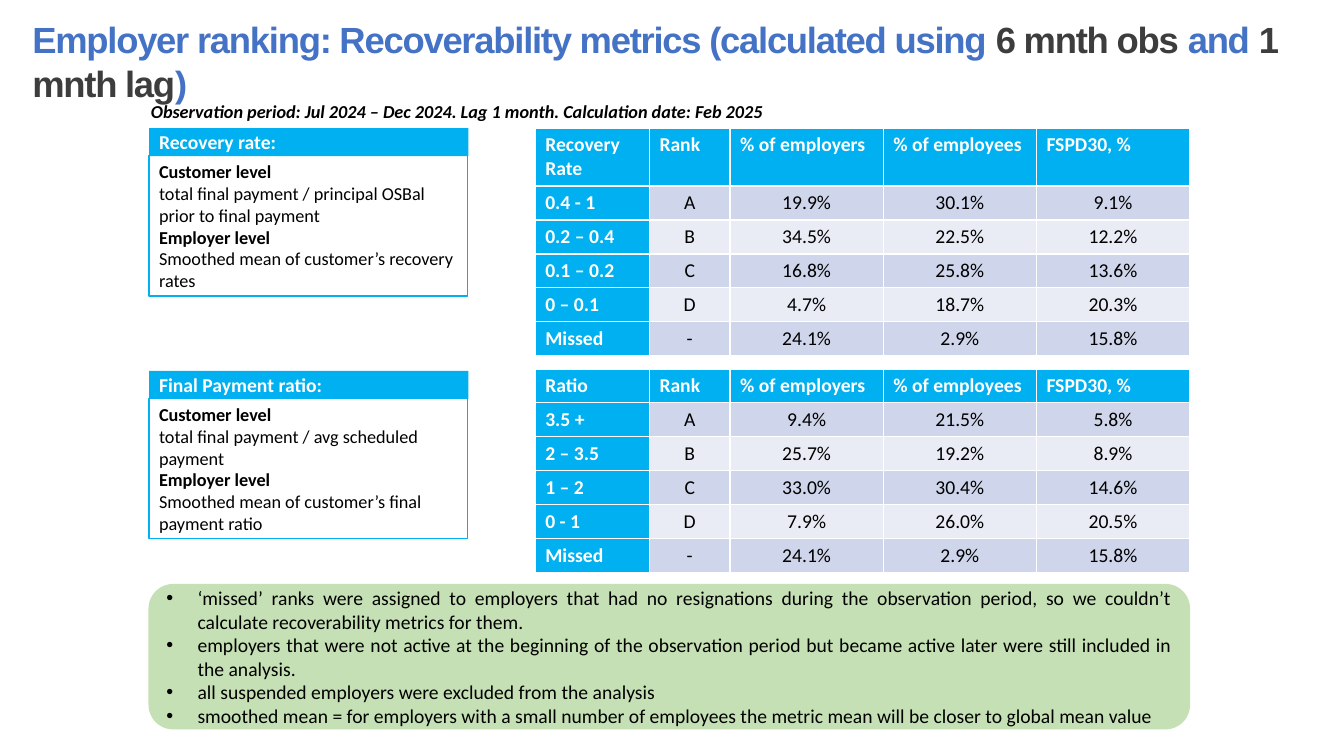
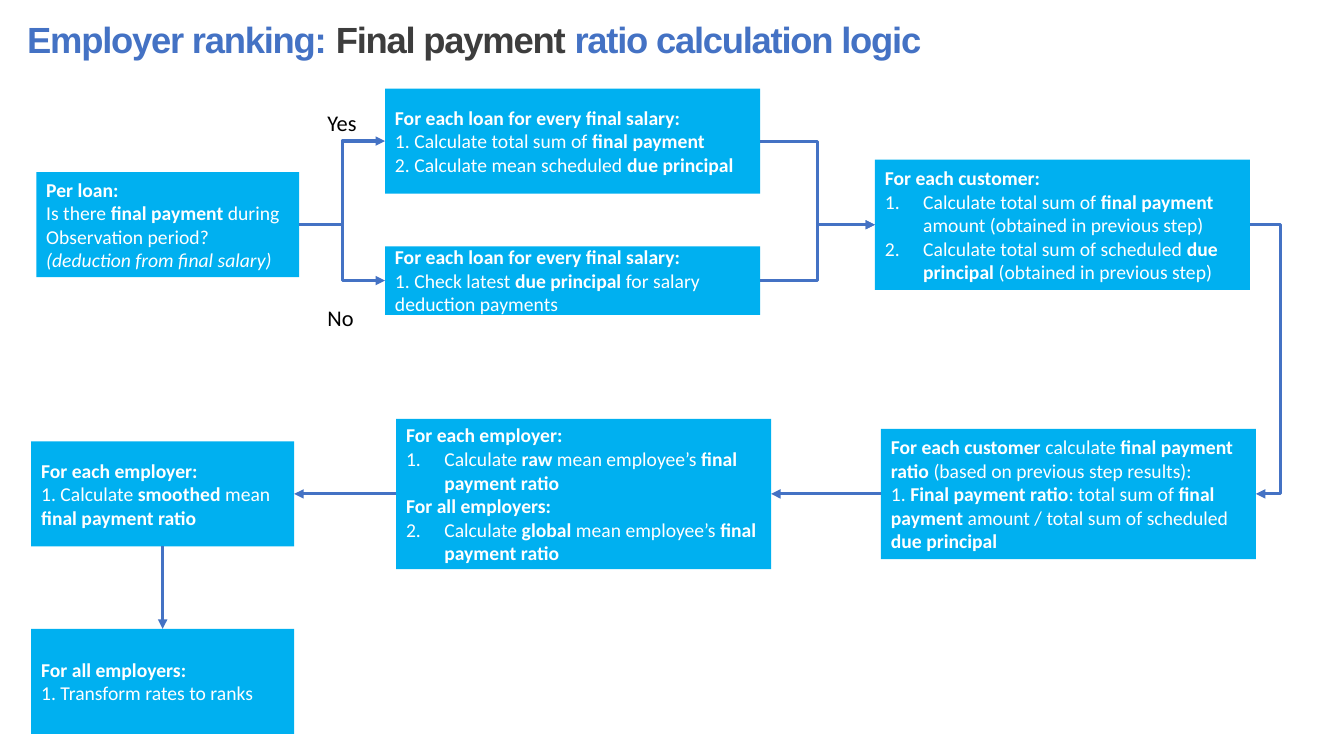
from dataclasses import dataclass
from typing import Optional

from lxml.etree import SubElement
from pptx import Presentation
from pptx.dml.color import RGBColor
from pptx.enum.shapes import MSO_CONNECTOR as Link, MSO_SHAPE as Preset
from pptx.enum.text import MSO_ANCHOR as Anchor, MSO_AUTO_SIZE as AutoSize, PP_ALIGN as Align
from pptx.oxml.ns import qn
from pptx.util import Inches, Pt

# The slide is a grid of 160 columns by 90 rows of square cells.
CELL = Inches(1) // 12
COLUMNS, ROWS = 160, 90

CYAN, BLUE, DARK = "00B0F0", "4472C4", "3D3D3D"
WHITE, BLACK, GREEN = "FFFFFF", "000000", "C5E0B4"
BANDS = ("CFD5EA", "E9EBF5")
BODY_FONT, TITLE_FONT = "Calibri", "Arial"
RIGHT_SITE, LEFT_SITE, BOTTOM_SITE, TOP_SITE = 3, 1, 2, 0


@dataclass(frozen=True)
class Area:
    """A rectangle in grid cells."""
    left: float
    top: float
    width: float
    height: float

    def emu(self) -> tuple:
        return tuple(cells(n) for n in (self.left, self.top, self.width, self.height))


@dataclass(frozen=True)
class Line:
    """A paragraph; text between ** marks is emphasised."""
    text: str
    italic: bool = False
    number: int = 0


@dataclass(frozen=True)
class Metric:
    name: str
    top: float
    customer_level: str
    employer_level: str
    table_top: float
    header_height: float
    header: str
    ranges: tuple
    shares: tuple


@dataclass(frozen=True)
class Step:
    left: float
    middle: float
    width: float
    height: float
    lines: tuple


@dataclass(frozen=True)
class Flow:
    start: str
    end: str
    start_site: int = RIGHT_SITE
    end_site: int = LEFT_SITE
    kind: Link = Link.ELBOW
    bend: Optional[float] = None


METRICS = (
    Metric("Recovery rate:", 15.24,
           "total final payment / principal OSBal prior to final payment",
           "Smoothed mean of customer’s recovery rates",
           15.24, 6.9, "Recovery Rate",
           ("0.4 - 1", "0.2 – 0.4", "0.1 – 0.2", "0 – 0.1", "Missed"),
           (("19.9%", "30.1%", "9.1%"), ("34.5%", "22.5%", "12.2%"),
            ("16.8%", "25.8%", "13.6%"), ("4.7%", "18.7%", "20.3%"),
            ("24.1%", "2.9%", "15.8%"))),
    Metric("Final Payment ratio:", 44.16,
           "total final payment / avg scheduled payment",
           "Smoothed mean of customer’s final payment ratio",
           43.92, 4, "Ratio",
           ("3.5 +", "2 – 3.5", "1 – 2", "0 - 1", "Missed"),
           (("9.4%", "21.5%", "5.8%"), ("25.7%", "19.2%", "8.9%"),
            ("33.0%", "30.4%", "14.6%"), ("7.9%", "26.0%", "20.5%"),
            ("24.1%", "2.9%", "15.8%"))),
)
RANKS = ("A", "B", "C", "D", "-")
SHARED_HEADERS = ("Rank", "% of employers", "% of employees", "FSPD30, %")
TABLE_COLUMNS = (13.6, 9.6, 18.24, 18.24, 18.24)

NOTES = (
    Line("‘missed’ ranks were assigned to employers that had no resignations during the "
         "observation period, so we couldn’t calculate recoverability metrics for them."),
    Line("employers that were not active at the beginning of the observation period but became "
         "active later were still included in the analysis."),
    Line("all suspended employers were excluded from the analysis"),
    Line("smoothed mean = for employers with a small number of employees the metric mean will be "
         "closer to global mean value"),
)

NARROW, WIDE = 31.3, 44.64
TOP_ROW, BOTTOM_ROW = 26.76, 58.8
STEPS = {
    "loan": Step(4.32, TOP_ROW, NARROW, 12.5, (
        Line("**Per loan:**"),
        Line("Is there **final payment **during Observation period?"),
        Line("(deduction from final salary)", italic=True))),
    "paid": Step(45.84, 16.8, WIDE, 12.5, (
        Line("**For each loan for every final salary:**"),
        Line("1. Calculate total sum of **final payment**"),
        Line("2. Calculate mean scheduled **due principal**"))),
    "unpaid": Step(45.84, 33.4, WIDE, 8.16, (
        Line("**For each loan for every final salary:**"),
        Line("1. Check latest **due principal **for salary deduction payments"))),
    "customer": Step(104.16, TOP_ROW, WIDE, 15.5, (
        Line("**For each customer:**"),
        Line("Calculate total sum of **final payment** amount (obtained in previous step)",
             number=1),
        Line("Calculate total sum of scheduled **due principal **(obtained in previous step)",
             number=1))),
    "ratio": Step(104.88, BOTTOM_ROW, WIDE, 15.5, (
        Line("**For each customer **calculate **final payment ratio **"
             "(based on previous step results):"),
        Line("1. **Final payment ratio**: total sum of **final payment** amount / "
             "total sum of scheduled **due principal**"))),
    "mean": Step(47.16, BOTTOM_ROW, WIDE, 17.9, (
        Line("**For each employer:**"),
        Line("Calculate **raw** mean employee’s **final payment ratio**", number=1),
        Line("**For all employers:**"),
        Line("Calculate **global** mean employee’s **final payment ratio**", number=2))),
    "smoothed": Step(3.72, BOTTOM_ROW, NARROW, 12.5, (
        Line("**For each employer:**"),
        Line("1. Calculate **smoothed** mean **final payment ratio**"))),
    "ranks": Step(3.72, 81.12, NARROW, 12.5, (
        Line("**For all employers:**"),
        Line("1. Transform rates to ranks"))),
}
FLOWS = (
    Flow("loan", "paid"),
    Flow("loan", "unpaid"),
    Flow("paid", "customer"),
    Flow("unpaid", "customer"),
    Flow("customer", "ratio", end_site=RIGHT_SITE, bend=152.5),
    Flow("ratio", "mean", LEFT_SITE, RIGHT_SITE, Link.STRAIGHT),
    Flow("mean", "smoothed", LEFT_SITE, RIGHT_SITE, Link.STRAIGHT),
    Flow("smoothed", "ranks", BOTTOM_SITE, TOP_SITE, Link.STRAIGHT),
)
ANSWERS = (("Yes", 12.36), ("No", 35.64))


def cells(count: float) -> int:
    return round(count * CELL)


def paint(target, color: str) -> None:
    """Give a fill one solid colour."""
    target.solid()
    target.fore_color.rgb = RGBColor.from_string(color)


def indent(paragraph, inches: float) -> None:
    """Hang the first line by the given indent."""
    properties = paragraph._p.get_or_add_pPr()
    properties.set("marL", str(Inches(inches)))
    properties.set("indent", str(-Inches(inches)))


def number(paragraph, start: int) -> None:
    indent(paragraph, 0.38)
    mark = SubElement(paragraph._p.get_or_add_pPr(), qn("a:buAutoNum"), type="arabicPeriod")
    if start > 1:
        mark.set("startAt", str(start))


def style(run, size: float, color: str, bold: bool, italic: bool = False,
          font: str = BODY_FONT) -> None:
    run.font.name, run.font.size = font, Pt(size)
    run.font.bold, run.font.italic = bold, italic
    run.font.color.rgb = RGBColor.from_string(color)


def write(frame, lines: tuple, size: float, color: str, align: Align = Align.LEFT,
          hanging: float = 0) -> None:
    """Fill a text frame, with the emphasised parts of each line in bold."""
    frame.word_wrap = True
    for index, line in enumerate(lines):
        paragraph = frame.add_paragraph() if index else frame.paragraphs[0]
        paragraph.alignment = align
        paragraph.space_before = Pt(0)
        if line.number:
            number(paragraph, line.number)
        elif hanging:
            indent(paragraph, hanging)
        for part, text in enumerate(line.text.split("**")):
            if text:
                run = paragraph.add_run()
                run.text = text
                style(run, size, color, bold=part % 2 == 1, italic=line.italic)


def place(placeholder, area: Area) -> None:
    placeholder.left, placeholder.top, placeholder.width, placeholder.height = area.emu()
    placeholder.text_frame.auto_size = AutoSize.NONE
    placeholder.text_frame.word_wrap = True


def add_title(slide, text: str, left: float) -> None:
    """Write the blue title, with the parts between ** marks in dark grey."""
    title = slide.shapes.title
    place(title, Area(left, 1.44, 154.2, 6.48))
    title.text_frame.vertical_anchor = Anchor.TOP
    paragraph = title.text_frame.paragraphs[0]
    paragraph.alignment = Align.LEFT
    for part, words in enumerate(text.split("**")):
        if words:
            run = paragraph.add_run()
            run.text = words
            style(run, 26, DARK if part % 2 else BLUE, bold=True, font=TITLE_FONT)
            run._r.get_or_add_rPr().set("spc", "-90")


def add_block(slide, area: Area, fill: Optional[str] = None, line: Optional[str] = None,
              preset: Preset = Preset.RECTANGLE):
    block = slide.shapes.add_shape(preset, *area.emu())
    block.shadow.inherit = False
    if fill:
        paint(block.fill, fill)
    else:
        block.fill.background()
    if line:
        paint(block.line.fill, line)
        block.line.width = Pt(1)
    else:
        block.line.fill.background()
    return block


def add_label(slide, area: Area, line: Line, size: float) -> None:
    label = slide.shapes.add_textbox(*area.emu())
    write(label.text_frame, (line,), size, BLACK)


def add_metric(slide, metric: Metric) -> None:
    """Draw the definition card and the rank table of one metric."""
    heading = add_block(slide, Area(17.76, metric.top, 38, 3.34), CYAN)
    write(heading.text_frame, (Line(f"**{metric.name}**"),), 14, WHITE)
    definition = add_block(slide, Area(17.76, metric.top + 3.3, 37.92, 16.68), line=CYAN)
    write(definition.text_frame, (
        Line("**Customer level**"), Line(metric.customer_level),
        Line("**Employer level**"), Line(metric.employer_level)), 13, BLACK)

    rows = [(metric.header, *SHARED_HEADERS)]
    rows += [(span, rank, *share)
             for span, rank, share in zip(metric.ranges, RANKS, metric.shares)]
    heights = [metric.header_height] + [4] * len(RANKS)
    area = Area(63.72, metric.table_top, sum(TABLE_COLUMNS), sum(heights))
    table = slide.shapes.add_table(len(rows), len(TABLE_COLUMNS), *area.emu()).table
    for column, width in zip(table.columns, TABLE_COLUMNS):
        column.width = cells(width)
    for r, (values, height) in enumerate(zip(rows, heights)):
        table.rows[r].height = cells(height)
        for c, value in enumerate(values):
            cell = table.cell(r, c)
            if r == 0 or c == 0:
                paint(cell.fill, CYAN)
                write(cell.text_frame, (Line(f"**{value}**"),), 14, WHITE)
            else:
                paint(cell.fill, BANDS[(r - 1) % 2])
                write(cell.text_frame, (Line(value),), 14, BLACK, Align.CENTER)


def add_notes_panel(slide, body) -> None:
    area = Area(17.76, 69.6, 123.84, 17.16)
    add_block(slide, area, GREEN, GREEN, Preset.ROUNDED_RECTANGLE)
    place(body, area)
    slide.shapes._spTree.append(body._element)  # bring the list in front of its panel
    frame = body.text_frame
    frame.vertical_anchor = Anchor.MIDDLE
    frame.margin_left = frame.margin_right = Inches(0.17)
    frame.margin_top = frame.margin_bottom = 0
    write(frame, NOTES, 14, BLACK, Align.JUSTIFY, hanging=0.31)


def add_flow(slide, flow: Flow, blocks: dict) -> None:
    arrow = slide.shapes.add_connector(flow.kind, 0, 0, 0, 0)
    arrow.begin_connect(blocks[flow.start], flow.start_site)
    arrow.end_connect(blocks[flow.end], flow.end_site)
    paint(arrow.line.fill, BLUE)
    arrow.line.width = Pt(2.25)
    properties = arrow._element.spPr
    SubElement(properties.find(qn("a:ln")), qn("a:tailEnd"), type="triangle")
    SubElement(properties, qn("a:effectLst"))
    if flow.bend:
        share = (cells(flow.bend) - arrow.begin_x) / (arrow.end_x - arrow.begin_x)
        guides = properties.find(qn("a:prstGeom")).find(qn("a:avLst"))
        SubElement(guides, qn("a:gd"), name="adj1", fmla=f"val {round(share * 100000)}")


def build_metrics_slide(deck) -> None:
    slide = deck.slides.add_slide(deck.slide_layouts[1])
    add_title(slide, "Employer ranking: Recoverability metrics (calculated using "
                     "**6 mnth obs** and **1 mnth lag**)", 2.64)
    for metric in METRICS:
        add_metric(slide, metric)
    add_notes_panel(slide, slide.placeholders[1])
    add_label(slide, Area(16.8, 11.4, 82.3, 3.84), Line(
        "**Observation period: Jul 2024 – Dec 2024. Lag 1 month. Calculation date: Feb 2025**",
        italic=True), 13)


def build_logic_slide(deck) -> None:
    slide = deck.slides.add_slide(deck.slide_layouts[5])
    add_title(slide, "Employer ranking: **Final payment** ratio calculation logic", 2.04)
    blocks = {}
    for key, step in STEPS.items():
        area = Area(step.left, step.middle - step.height / 2, step.width, step.height)
        blocks[key] = add_block(slide, area, CYAN)
        write(blocks[key].text_frame, step.lines, 14, WHITE)
    for flow in FLOWS:
        add_flow(slide, flow, blocks)
    for answer, top in ANSWERS:
        add_label(slide, Area(37.8, top, 5.88, 4.44), Line(answer), 16)


def main() -> None:
    deck = Presentation()
    deck.slide_width, deck.slide_height = COLUMNS * CELL, ROWS * CELL
    build_metrics_slide(deck)
    build_logic_slide(deck)
    deck.save("out.pptx")


if __name__ == "__main__":
    main()
